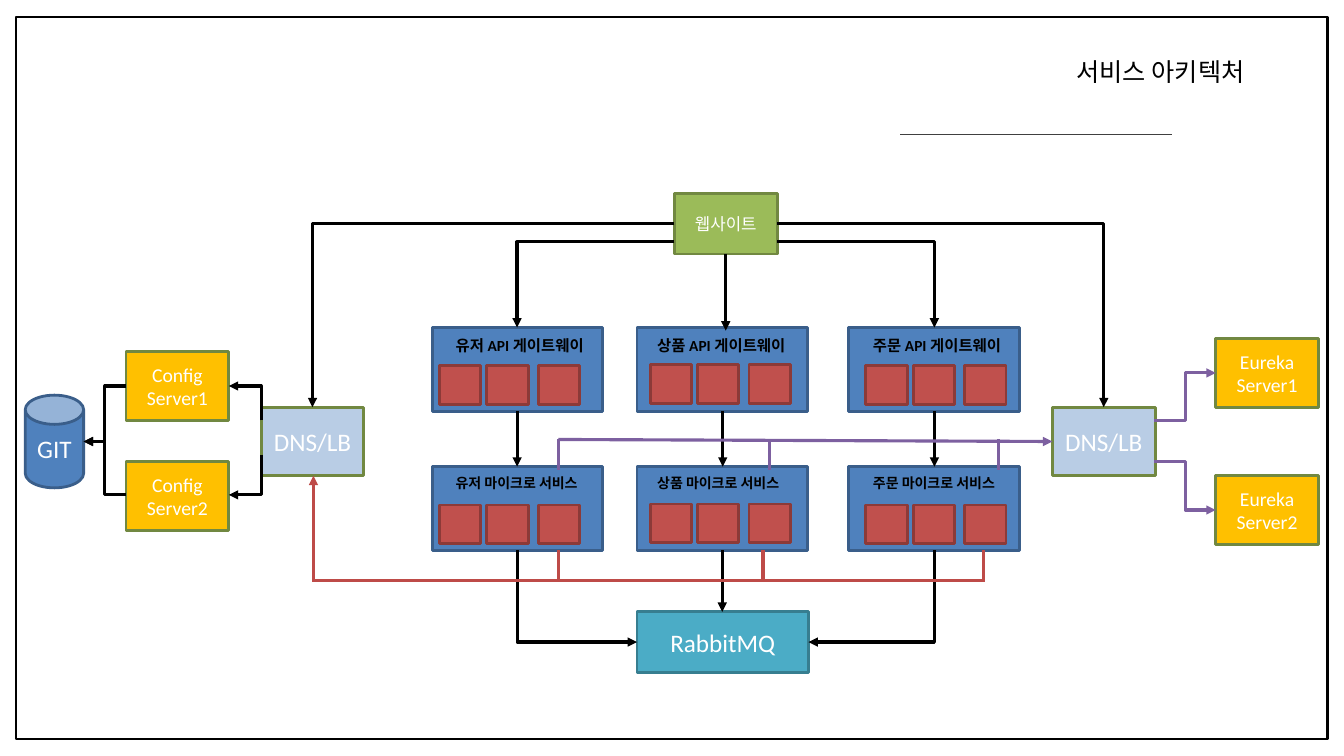
"""Build the service architecture slide."""
import lxml.etree
import pptx
import pptx.dml.color
import pptx.enum.shapes
import pptx.enum.text
import pptx.oxml.ns
import pptx.util

COLORS = {
    "black": "000000", "white": "FFFFFF", "rule": "404040",
    "site": "9BBB59", "site_edge": "718841", "balancer": "B9CDE5", "server": "FFC000",
    "service": "4F81BD", "service_edge": "3A5E8A",
    "instance": "C0504D", "instance_edge": "8C3A38",
    "queue": "4BACC6", "queue_edge": "377E90",
    "config": "BE4B48", "discovery": "7D60A0",
}
FONT = "Calibri"
CELL = pptx.util.Inches(0.1)
SHAPES = pptx.enum.shapes.MSO_SHAPE
ALIGN = pptx.enum.text.PP_ALIGN
ANCHOR = pptx.enum.text.MSO_ANCHOR

deck = pptx.Presentation()
deck.slide_width = int(133.33 * CELL)
deck.slide_height = 75 * CELL
slide = deck.slides.add_slide(deck.slide_layouts[6])


def block(area, fill, edge, label="", size=18, ink="white", bold=False,
          outline=SHAPES.RECTANGLE, weight=2):
    shape = slide.shapes.add_shape(outline, *(int(n * CELL) for n in area))
    shape.shadow.inherit = False
    if fill:
        shape.fill.solid()
        shape.fill.fore_color.rgb = pptx.dml.color.RGBColor.from_string(COLORS[fill])
    else:
        shape.fill.background()
    shape.line.color.rgb = pptx.dml.color.RGBColor.from_string(COLORS[edge])
    shape.line.width = pptx.util.Pt(weight)
    if label:
        frame = shape.text_frame
        frame.word_wrap = True
        frame.vertical_anchor = ANCHOR.MIDDLE
        frame.margin_left = frame.margin_right = CELL
        frame.margin_top = frame.margin_bottom = CELL // 2
        frame.paragraphs[0].alignment = ALIGN.CENTER
        run = frame.paragraphs[0].add_run()
        run.text = label
        run.font.name = FONT
        run.font.size = pptx.util.Pt(size)
        run.font.bold = bold
        run.font.color.rgb = pptx.dml.color.RGBColor.from_string(COLORS[ink])
    return shape


def route(points, color="black", arrow=True, weight=2.25):
    stops = [(int(x * CELL), int(y * CELL)) for x, y in points]
    if len(stops) == 2:
        path = slide.shapes.add_connector(
            pptx.enum.shapes.MSO_CONNECTOR.STRAIGHT, *stops[0], *stops[1])
    else:
        builder = slide.shapes.build_freeform(*stops[0], scale=1.0)
        builder.add_line_segments(stops[1:], close=False)
        path = builder.convert_to_shape()
        path.fill.background()
    path.line.color.rgb = pptx.dml.color.RGBColor.from_string(COLORS[color])
    path.line.width = pptx.util.Pt(weight)
    properties = path._element.spPr
    if arrow:
        stroke = properties.find(pptx.oxml.ns.qn("a:ln"))
        lxml.etree.SubElement(stroke, pptx.oxml.ns.qn("a:tailEnd"), type="triangle")
    lxml.etree.SubElement(properties, pptx.oxml.ns.qn("a:effectLst"))


block((1.6, 1.7, 130.1, 71.6), None, "black", weight=1.75)
title = slide.shapes.add_textbox(*(int(n * CELL) for n in (106.3, 5.1, 19.9, 4.2)))
heading = title.text_frame
heading.word_wrap = True
heading.margin_left = heading.margin_right = CELL // 2
heading.margin_top = heading.margin_bottom = CELL // 2
heading_run = heading.paragraphs[0].add_run()
heading_run.text = "서비스 아키텍처"
heading_run.font.name = FONT
heading_run.font.size = pptx.util.Pt(18)
heading_run.font.color.rgb = pptx.dml.color.RGBColor.from_string(COLORS["black"])
route([(89.3, 13.3), (116.3, 13.3)], "rule", arrow=False, weight=0.5)

block((66.9, 19.2, 10.2, 6), "site", "site_edge", "웹사이트", 12)
for balancer_left in (25.9, 104.4):
    block((balancer_left, 40.4, 10.2, 6.8), "balancer", "site_edge", "DNS/LB")
for server, server_left, server_top in (
        ("Config Server1", 12.5, 34.9), ("Config Server2", 12.5, 45.8),
        ("Eureka Server1", 120.6, 33.6), ("Eureka Server2", 120.6, 47.2)):
    block((server_left, server_top, 10.2, 6.8), "server", "site_edge", server, 14)

for tier, tier_top, label_size in (("API 게이트웨이", 32.5, 11), ("마이크로 서비스", 46.3, 10)):
    for domain, left, label_inset, instance_left, instance_drop in (
            ("유저", 42.9, 2.3, 43.6, 3.8),
            ("상품", 63.2, 2, 64.5, 3.7),
            ("주문", 84.2, 2.4, 85.9, 3.8)):
        service = block((left, tier_top, 16.9, 8.3), "service", "service_edge",
                        f"{domain} {tier}", label_size, "black", True)
        service.text_frame.word_wrap = False
        service.text_frame.vertical_anchor = ANCHOR.TOP
        service.text_frame.margin_left = int(label_inset * CELL)
        service.text_frame.margin_top = int(0.8 * CELL)
        service.text_frame.paragraphs[0].alignment = ALIGN.LEFT
        for offset in (0, 4.7, 9.8):
            block((instance_left + offset, tier_top + instance_drop, 4.1, 3.8),
                  "instance", "instance_edge")

block((63.2, 60.7, 17, 6), "queue", "queue_edge", "RabbitMQ")
repository = block((2.5, 39.2, 5.8, 9.2), "service", "service_edge", "GIT", outline=SHAPES.CAN)
repository.adjustments[0] = 0.5
repository.text_frame.word_wrap = False

for center, queue_side in ((51.3, 63.2), (92.7, 80.2)):
    route([(center, 54.6), (center, 63.7), (queue_side, 63.7)])
route([(71.65, 54.6), (71.65, 60.7)])
for center in (51.3, 71.7, 92.7):
    route([(center, 40.8), (center, 46.3)])

route([(31, 57.6), (97.7, 57.6)], "config", arrow=False)
for tap in (97.6, 75.7, 55.4):
    route([(tap, 57.6), (tap, 54.6)], "config", arrow=False)
route([(31.1, 57.7), (31.1, 47.2)], "config")

for site_side, gateway, balancer in ((66.9, 51.3, 31), (77.1, 92.7, 109.5)):
    route([(site_side, 22.2), (balancer, 22.2), (balancer, 40.4)])
    route([(site_side, 24), (gateway, 24), (gateway, 32.5)])
route([(72, 25.2), (72, 32.8)])

route([(55.4, 43.6), (104.4, 43.8)], "discovery")
for tap in (55.4, 76.3, 99.1):
    route([(tap, 43.6), (tap, 46.6)], "discovery", arrow=False)
for exit_row, server_row in ((41.7, 37), (45.8, 50.6)):
    route([(114.5, exit_row), (117.6, exit_row), (117.6, server_row), (120.6, server_row)],
          "discovery")

for exit_row, server_row in ((41.7, 38.3), (45.1, 49.1)):
    route([(25.9, exit_row), (25.9, server_row), (22.7, server_row)])
    route([(12.5, server_row), (10.4, server_row), (10.4, 43.8), (8.3, 43.8)])

deck.save("out.pptx")
